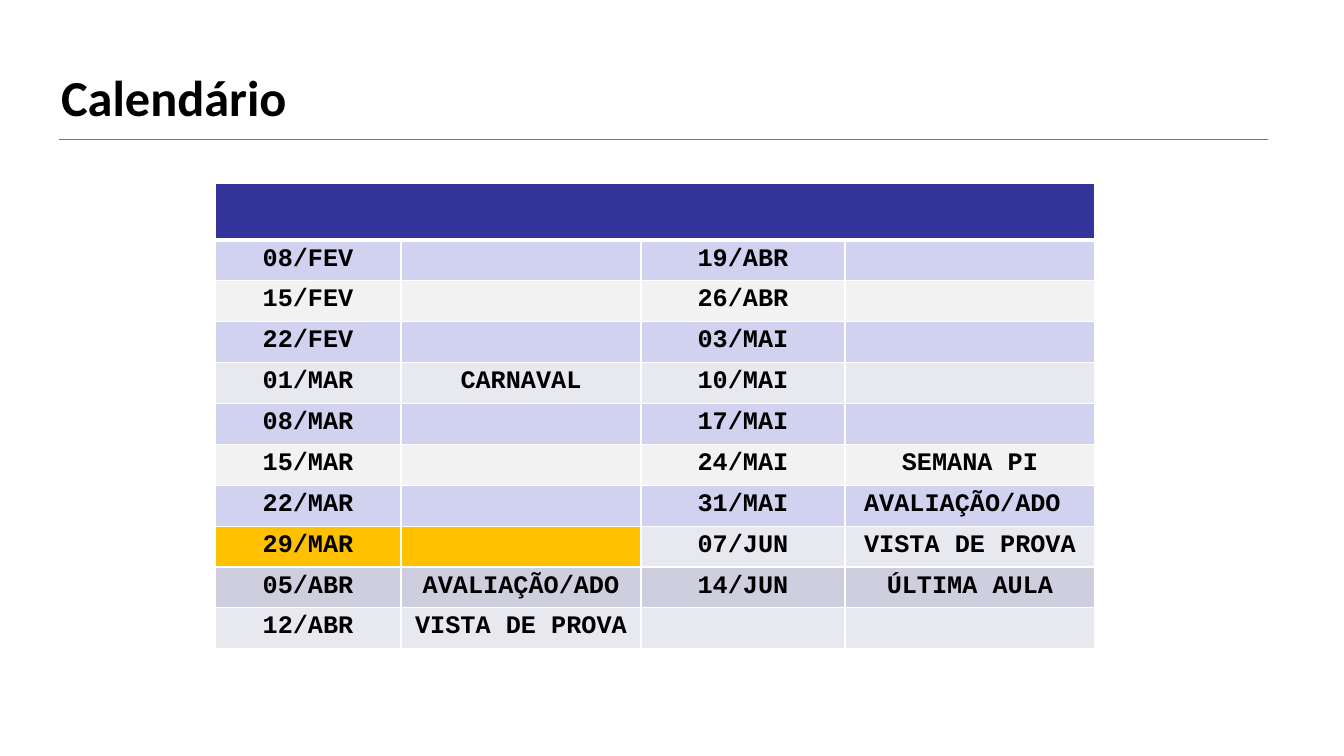
from lxml import etree
from pptx import Presentation
from pptx.dml.color import RGBColor
from pptx.enum.shapes import MSO_CONNECTOR
from pptx.enum.text import MSO_ANCHOR, PP_ALIGN
from pptx.oxml import parse_xml
from pptx.oxml.ns import nsdecls, qn
from pptx.util import Pt

STRAIGHT = MSO_CONNECTOR.STRAIGHT
MIDDLE = MSO_ANCHOR.MIDDLE
LEFT, CENTER = PP_ALIGN.LEFT, PP_ALIGN.CENTER

WIDE, HIGH = 1344, 756
SCALE = 12192000 / WIDE

COLORS = {
    "ink": "000000", "white": "FFFFFF", "rule": "4A7DBA", "head": "333399",
    "lilac": "D1D1F0", "pale": "F2F2F2", "mist": "E8E8EF",
    "gold": "FFC000", "dusk": "CECEDE",
}

# Fill of each row, then date and event for both halves of the term
ROWS = [
    ("lilac", "08/FEV", "", "19/ABR", ""),
    ("pale", "15/FEV", "", "26/ABR", ""),
    ("lilac", "22/FEV", "", "03/MAI", ""),
    ("mist", "01/MAR", "CARNAVAL", "10/MAI", ""),
    ("lilac", "08/MAR", "", "17/MAI", ""),
    ("pale", "15/MAR", "", "24/MAI", "SEMANA PI"),
    ("lilac", "22/MAR", "", "31/MAI", "AVALIAÇÃO/ADO "),
    ("mist", "29/MAR", "", "07/JUN", "VISTA DE PROVA"),
    ("dusk", "05/ABR", "AVALIAÇÃO/ADO", "14/JUN", "ÚLTIMA AULA"),
    ("mist", "12/ABR", "VISTA DE PROVA", "", ""),
]
MARKED = "29/MAR"
COLS = [186, 240, 204, 250]
HEAD, BODY = 57, 407


def px(n):
    return round(n * SCALE)


def color(name):
    return RGBColor.from_string(COLORS[name])


class Page:
    def __init__(self, deck):
        self.slide = deck.slides.add_slide(deck.slide_layouts[5])

    def style(self, frame, font, size, align):
        for para in frame.paragraphs:
            para.alignment = align
            for run in para.runs:
                run.font.name = font
                run.font.size = Pt(size)
                run.font.bold = True
                run.font.color.rgb = color("ink")

    def title(self, text, x, y, w, h):
        box = self.slide.shapes.title
        box.left, box.top, box.width, box.height = map(px, (x, y, w, h))
        frame = box.text_frame
        frame.text = text
        frame.vertical_anchor = MIDDLE
        self.style(frame, "Calibri", 36, LEFT)

    def line(self, x1, y1, x2, y2):
        rule = self.slide.shapes.add_connector(
            STRAIGHT, px(x1), px(y1), px(x2), px(y2))
        rule.line.color.rgb = color("rule")
        rule.line.width = Pt(0.75)
        etree.SubElement(rule._element.spPr, qn("a:effectLst"))

    def cell(self, cell, fill, text="", base=1):
        # Borders precede the fill in the cell properties
        props = cell._tc.get_or_add_tcPr()
        for side, width in zip("LRTB", (1, 1, 1, base)):
            props.append(parse_xml(
                f'<a:ln{side} {nsdecls("a")} w="{Pt(width)}"><a:solidFill>'
                f'<a:srgbClr val="{COLORS["white"]}"/></a:solidFill></a:ln{side}>'))
        cell.fill.solid()
        cell.fill.fore_color.rgb = color(fill)
        if text:
            cell.text_frame.text = text
            self.style(cell.text_frame, "Courier New", 18, CENTER)

    def table(self, x, y):
        grid = self.slide.shapes.add_table(
            len(ROWS) + 1, len(COLS), px(x), px(y),
            px(sum(COLS)), px(HEAD + BODY)).table
        grid.horz_banding = False
        for col, width in zip(grid.columns, COLS):
            col.width = px(width)
        for row in grid.rows:
            row.height = px(BODY / len(ROWS))

        # Header band
        grid.rows[0].height = px(HEAD)
        for c in range(len(COLS)):
            self.cell(grid.cell(0, c), "head", base=3)
        grid.cell(0, 0).merge(grid.cell(0, len(COLS) - 1))

        # Dates and events
        for r, (fill, *texts) in enumerate(ROWS, 1):
            for c, text in enumerate(texts):
                gold = texts[0] == MARKED and c < 2
                self.cell(grid.cell(r, c), "gold" if gold else fill, text)


def main():
    deck = Presentation()
    deck.slide_width, deck.slide_height = px(WIDE), px(HIGH)
    page = Page(deck)

    # Heading
    page.title("Calendário", 51, 60, 906, 72)
    page.line(59, 140, 1268, 140)

    # Calendar
    page.table(215, 183)
    deck.save("out.pptx")


if __name__ == "__main__":
    main()
